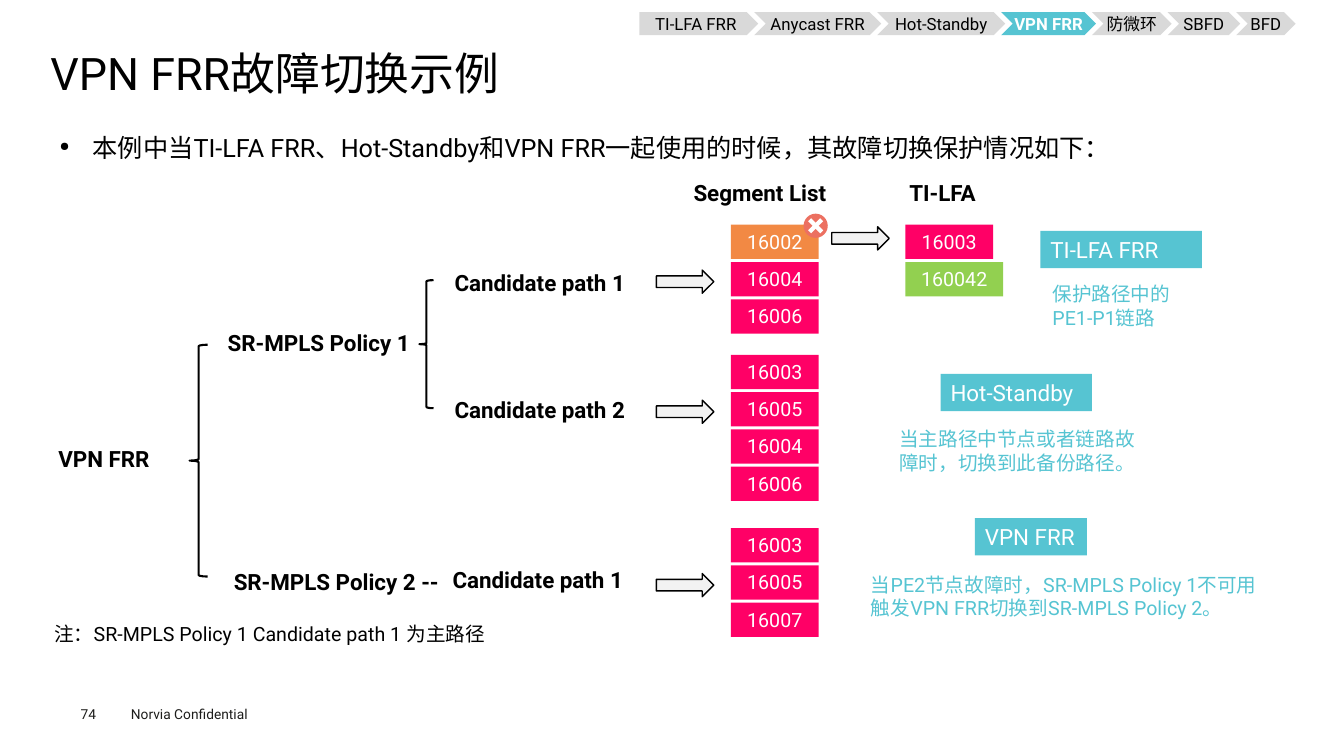
from pptx import Presentation
from pptx.dml.color import RGBColor
from pptx.enum.shapes import MSO_CONNECTOR, MSO_SHAPE
from pptx.enum.text import MSO_ANCHOR, PP_ALIGN
from pptx.oxml.ns import qn
from pptx.util import Emu, Pt
from lxml.etree import SubElement

EMU_PER_PX = 9144
FONT = "Roboto"
BLACK = RGBColor(0x00, 0x00, 0x00)
WHITE = RGBColor(0xFF, 0xFF, 0xFF)
INK = RGBColor(0x1D, 0x1D, 0x1B)
TEAL = RGBColor(0x56, 0xC4, 0xD2)
PINK = RGBColor(0xFF, 0x00, 0x66)
ORANGE = RGBColor(0xF2, 0x89, 0x44)
GREEN = RGBColor(0x92, 0xD0, 0x50)
RED = RGBColor(0xEC, 0x70, 0x61)
GREY = RGBColor(0xD9, 0xD9, 0xD9)
PALE = RGBColor(0xF2, 0xF2, 0xF2)

TITLE = "VPN FRR故障切换示例"
INTRO = "本例中当TI-LFA FRR、Hot-Standby和VPN FRR一起使用的时候，其故障切换保护情况如下："
NOTE = "注：SR-MPLS Policy 1 Candidate path 1 为主路径"
FOOTER = [("Norvia Confidential", 120, 695, 160, 27, (10, 5, 10, 5)),
          ("74", 80, 700, 55, 16, (0, 0, 0, 0))]

TRAIL = [("TI-LFA FRR", 118), ("Anycast FRR", 126), ("Hot-Standby", 127),
         ("VPN FRR", 94), ("防微环", 79), ("SBFD", 72), ("BFD", 59)]
TRAIL_CURRENT = "VPN FRR"
TRAIL_LEFT, TRAIL_TOP, TRAIL_HEIGHT, TRAIL_OVERLAP = 634, 12, 23, 4

LABELS = [("SR-MPLS Policy 1", 216, 322, 212),
          ("Candidate path 1", 441, 262, 248),
          ("Candidate path 2", 441, 388, 248),
          ("SR-MPLS Policy 2 --", 222, 559, 271),
          ("Candidate path 1", 439, 557, 248),
          ("VPN FRR", 48, 437, 153),
          ("Segment List", 678, 173, 248),
          ("TI-LFA", 892, 173, 95)]

BRACES = [(416, 278, 14, 127), (188, 342, 18, 230)]
ARROWS = [(651, 268), (651, 397), (651, 569), (825, 225)]

STACKS = [
    (725, 223, [("16002", ORANGE, 87), ("16004", PINK, 87), ("16006", PINK, 87)]),
    (725, 352, [("16003", PINK, 87), ("16005", PINK, 87),
                ("16004", PINK, 87), ("16006", PINK, 87)]),
    (725, 524, [("16003", PINK, 87), ("16005", PINK, 87), ("16007", PINK, 87)]),
    (898, 223, [("16003", PINK, 87), ("160042", GREEN, 97)]),
]
STACK_PITCH, SEGMENT_HEIGHT = 37, 34

CALLOUTS = [
    (("TI-LFA FRR", 1032, 229, 160),
     ("保护路径中的PE1-P1链路", 1034, 275, 154)),
    (("Hot-Standby", 933, 371, 150),
     ("当主路径中节点或者链路故障时，切换到此备份路径。", 882, 419, 266)),
    (("VPN FRR", 967, 514, 111),
     ("当PE2节点故障时，SR-MPLS Policy 1不可用触发VPN FRR切换到SR-MPLS Policy 2。",
      854, 563, 418)),
]

FAULT = (797, 212, 24)
FAULT_INSET = 6


def px(value):
    return Emu(value * EMU_PER_PX)


def write(shape, text, size, color, bold=False, align=PP_ALIGN.LEFT,
          anchor=MSO_ANCHOR.TOP, insets=(10, 5, 10, 5)):
    frame = shape.text_frame
    left, top, right, bottom = map(px, insets)
    frame_format = {"word_wrap": True, "vertical_anchor": anchor,
                    "margin_left": left, "margin_top": top,
                    "margin_right": right, "margin_bottom": bottom}
    for name, value in frame_format.items():
        setattr(frame, name, value)
    para = frame.paragraphs[0]
    para.alignment = align
    span = para.add_run()
    span.text = text
    for name, value in {"name": FONT, "size": Pt(size), "bold": bold}.items():
        setattr(span.font, name, value)
    span.font.color.rgb = color
    return para


def add_text(page, text, left, top, width, height, size, color, **options):
    box = page.shapes.add_textbox(px(left), px(top), px(width), px(height))
    return write(box, text, size, color, **options)


def add_figure(shapes, kind, left, top, width, height, fill=None, line_width=None):
    shape = shapes.add_shape(kind, px(left), px(top), px(width), px(height))
    shape.shadow.inherit = False
    if fill is None:
        shape.fill.background()
    else:
        shape.fill.solid()
        shape.fill.fore_color.rgb = fill
    if line_width is None:
        shape.line.fill.background()
    else:
        shape.line.color.rgb = BLACK
        shape.line.width = Pt(line_width)
    return shape


def add_heading(page):
    title = add_text(page, TITLE, 50, 49, 1235, 53, 32, BLACK,
                     anchor=MSO_ANCHOR.MIDDLE, insets=(0, 0, 0, 0))
    title.line_spacing = 0.9
    intro = add_text(page, INTRO, 50, 115, 1235, 534, 18, BLACK,
                     align=PP_ALIGN.JUSTIFY, insets=(9, 4, 9, 4))
    intro.line_spacing = 1.4
    properties = intro._p.get_or_add_pPr()
    properties.set("marL", str(px(33)))
    properties.set("indent", str(px(-33)))
    SubElement(properties, qn("a:buSzPct")).set("val", "50000")
    SubElement(properties, qn("a:buChar")).set("char", "●")


def add_trail(page):
    left = TRAIL_LEFT
    for index, (text, width) in enumerate(TRAIL):
        current = text == TRAIL_CURRENT
        kind = MSO_SHAPE.CHEVRON if index else MSO_SHAPE.PENTAGON
        step = add_figure(page.shapes, kind, left, TRAIL_TOP, width, TRAIL_HEIGHT,
                          TEAL if current else GREY)
        write(step, text, 12, WHITE if current else BLACK, bold=current,
              align=PP_ALIGN.CENTER, anchor=MSO_ANCHOR.MIDDLE, insets=(0, 0, 0, 0))
        left += width - TRAIL_OVERLAP


def add_fault_mark(page):
    left, top, size = FAULT
    group = page.shapes.add_group_shape()
    add_figure(group.shapes, MSO_SHAPE.OVAL, left, top, size, size, RED)
    near, far = FAULT_INSET, size - FAULT_INSET
    for start, end in [(far, near), (near, far)]:
        stroke = group.shapes.add_connector(
            MSO_CONNECTOR.STRAIGHT, px(left + near), px(top + start),
            px(left + far), px(top + end))
        stroke.line.color.rgb = WHITE
        stroke.line.width = Pt(3)
        SubElement(stroke._element.spPr, qn("a:effectLst"))


def main():
    deck = Presentation()
    deck.slide_width, deck.slide_height = px(1333), px(750)
    page = deck.slides.add_slide(deck.slide_layouts[6])

    for text, left, top, width, height, insets in FOOTER:
        add_text(page, text, left, top, width, height, 9.8, INK, insets=insets)
    add_heading(page)
    for text, left, top, width in LABELS:
        add_text(page, text, left, top, width, 37, 16, BLACK, bold=True)
    for brace in BRACES:
        add_figure(page.shapes, MSO_SHAPE.LEFT_BRACE, *brace, line_width=1.5)
    for left, top in ARROWS:
        add_figure(page.shapes, MSO_SHAPE.RIGHT_ARROW, left, top, 57, 23, PALE, 1)
    for left, top, segments in STACKS:
        for row, (text, fill, width) in enumerate(segments):
            segment = add_figure(page.shapes, MSO_SHAPE.RECTANGLE, left,
                                 top + row * STACK_PITCH, width, SEGMENT_HEIGHT, fill)
            write(segment, text, 14, WHITE, align=PP_ALIGN.CENTER)
    for (tag, left, top, width), (text, *place) in CALLOUTS:
        badge = add_figure(page.shapes, MSO_SHAPE.RECTANGLE, left, top, width, 37, TEAL)
        write(badge, tag, 16, WHITE, insets=(10, 5, 0, 5))
        add_text(page, text, *place, 57, 14, TEAL)
    add_text(page, NOTE, 44, 612, 531, 34, 14, BLACK)
    add_fault_mark(page)
    add_trail(page)
    deck.save("out.pptx")


if __name__ == "__main__":
    main()
